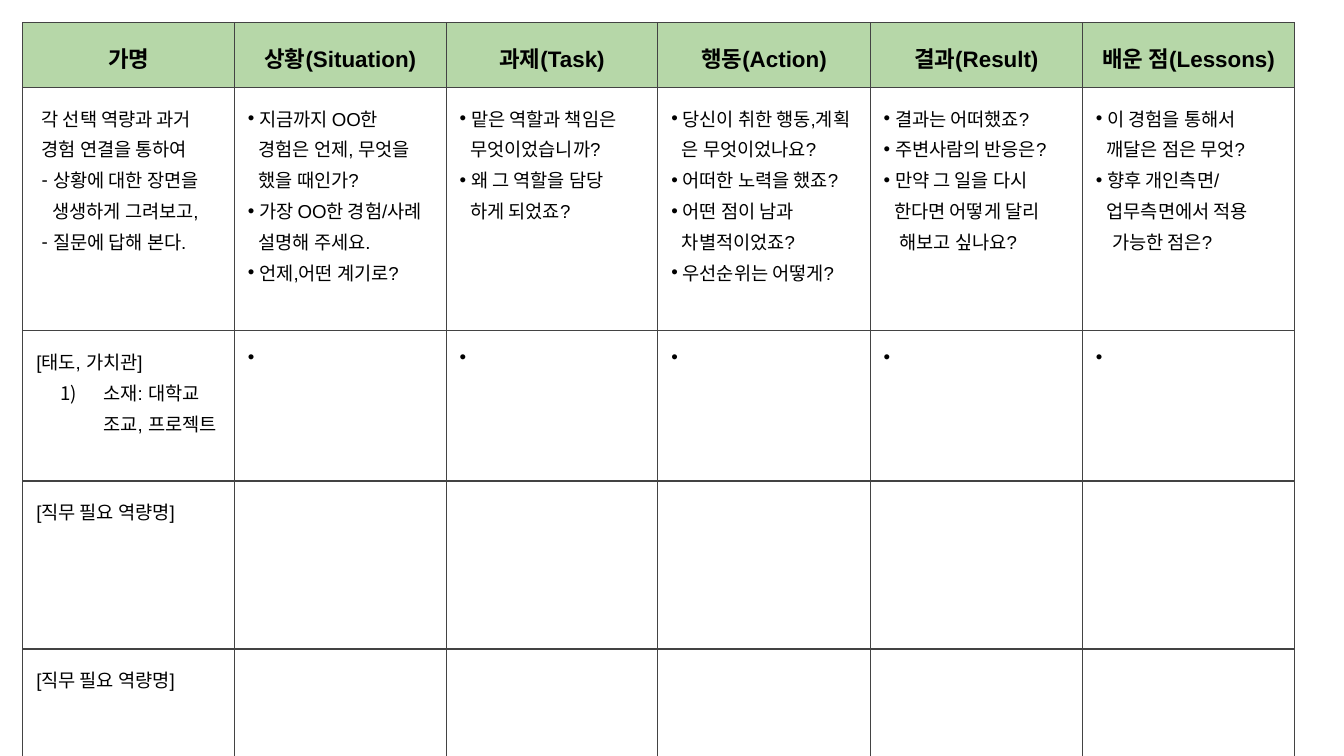
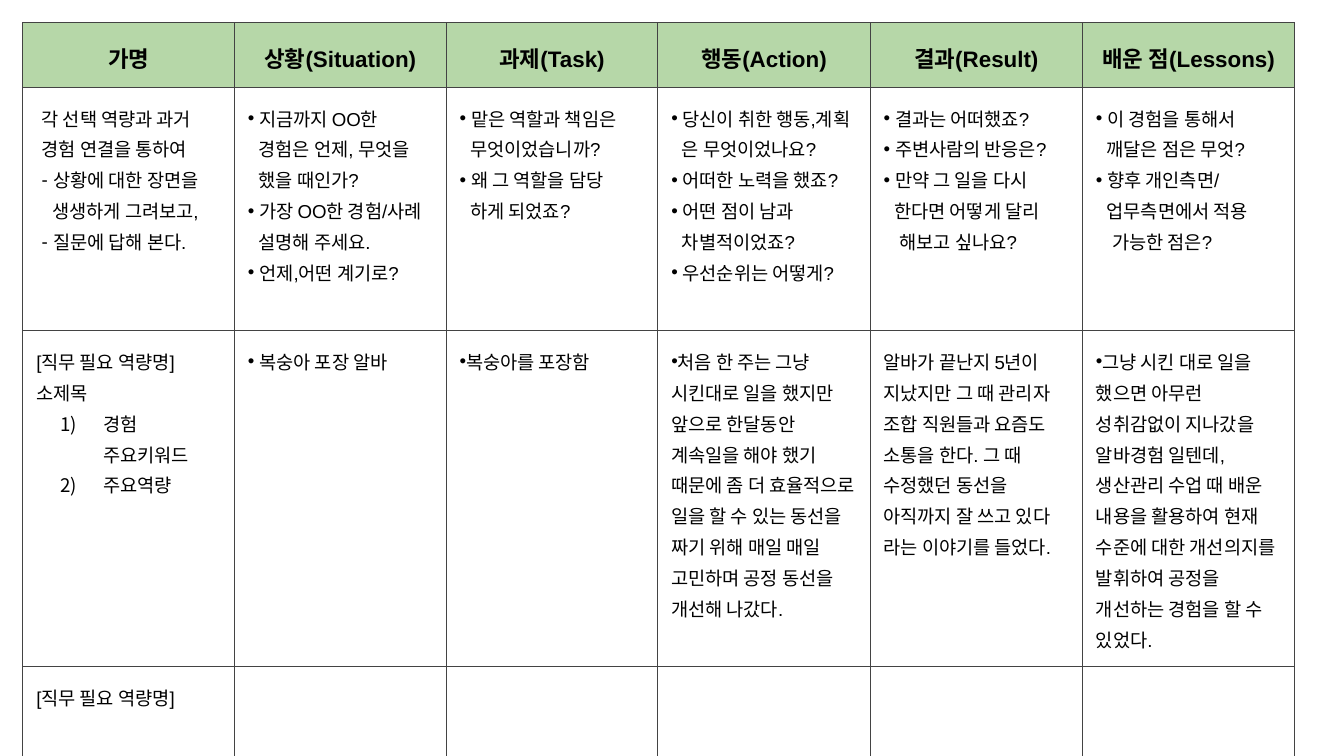
from dataclasses import dataclass
from itertools import zip_longest

from lxml import etree
from pptx import Presentation
from pptx import util as u
from pptx.dml.color import RGBColor
from pptx.enum import text
from pptx.oxml.ns import qn

PX = 4572
COLORS = {"header": "B6D7A8", "border": "434343", "text": "000000"}
FONT = "Arial"
SLIDE_SIZE = (2000, 1125)
TABLE_ORIGIN = 34
COLUMN_WIDTHS = [315] * 3 + [316] * 3
ROW_HEIGHTS = [68, 264, 214, 250, 192]
CELL_MARGIN = 20
SPACE = 8
BULLET_GAP = 17


def px(length: int) -> int:
    return u.Emu(length * PX)


@dataclass(frozen=True)
class Line:
    words: str
    left: int = 0
    hanging: int = 0
    bullet: str = ""
    numbered: bool = False


@dataclass(frozen=True)
class CellStyle:
    size: int
    bold: bool
    align: text.PP_ALIGN
    fill: str | None = None


HEADER = CellStyle(12, True, text.PP_ALIGN.CENTER, COLORS["header"])
BODY = CellStyle(10, False, text.PP_ALIGN.LEFT)


def item(words: str) -> Line:
    return Line(words, BULLET_GAP, BULLET_GAP, "•")


def tight(words: str) -> Line:
    return Line(words, bullet="•")


def dash(words: str) -> Line:
    return Line(words, SPACE + BULLET_GAP, BULLET_GAP, "-")


def more(words: str, spaces: int = 2) -> Line:
    return Line(words, spaces * SPACE)


def number(words: str) -> Line:
    return Line(words, 100, 64, numbered=True)


Cell = list[Line]
Row = list[Cell]

TITLES: Row = [[Line(title)] for title in (
    "가명", "상황(Situation)", "과제(Task)", "행동(Action)", "결과(Result)", "배운 점(Lessons)")]

QUESTIONS: Row = [
    [more("각 선택 역량과 과거", 1), more("경험 연결을 통하여", 1),
     dash("상황에 대한 장면을"), more("생생하게 그려보고,", 3), dash("질문에 답해 본다.")],
    [item("지금까지 OO한"), more("경험은 언제, 무엇을"), more("했을 때인가?"),
     item("가장 OO한 경험/사례"), more("설명해 주세요."), item("언제,어떤 계기로?")],
    [item("맡은 역할과 책임은"), more("무엇이었습니까?"),
     item("왜 그 역할을 담당"), more("하게 되었죠?")],
    [item("당신이 취한 행동,계획"), more("은 무엇이었나요?"), item("어떠한 노력을 했죠?"),
     item("어떤 점이 남과"), more("차별적이었죠?"), item("우선순위는 어떻게?")],
    [item("결과는 어떠했죠?"), item("주변사람의 반응은?"), item("만약 그 일을 다시"),
     more("한다면 어떻게 달리"), more("해보고 싶나요?", 3)],
    [item("이 경험을 통해서"), more("깨달은 점은 무엇?"), item("향후 개인측면/"),
     more("업무측면에서 적용"), more("가능한 점은?", 3)],
]

COMPETENCY = Line("[직무 필요 역량명]")

ATTITUDE: Row = [
    [Line("[태도, 가치관]"), number("소재: 대학교 조교, 프로젝트")],
    *[[Line("•")] for _ in COLUMN_WIDTHS[1:]],
]

PEACH_JOB: Row = [
    [COMPETENCY, Line("소제목"), number("경험 주요키워드"), number("주요역량")],
    [item("복숭아 포장 알바")],
    [tight("복숭아를 포장함")],
    [tight("처음 한 주는 그냥 시킨대로 일을 했지만 앞으로 한달동안 계속일을 해야 했기 때문에 "
           "좀 더 효율적으로 일을 할 수 있는 동선을 짜기 위해 매일 매일 고민하며 "
           "공정 동선을 개선해 나갔다.")],
    [Line("알바가 끝난지 5년이 지났지만 그 때 관리자 조합 직원들과 요즘도 소통을 한다. "
          "그 때 수정했던 동선을 아직까지 잘 쓰고 있다 라는 이야기를 들었다.")],
    [tight("그냥 시킨 대로 일을 했으면 아무런 성취감없이 지나갔을 알바경험 일텐데, "
           "생산관리 수업 때 배운 내용을 활용하여 현재 수준에 대한 개선의지를 발휘하여 "
           "공정을 개선하는 경험을 할 수 있었다.")],
]


def add_bullet(properties, line: Line) -> None:
    properties.set("marL", str(px(line.left)))
    properties.set("indent", str(px(-line.hanging)))
    if not (line.bullet or line.numbered):
        etree.SubElement(properties, qn("a:buNone"))
        return
    color = etree.SubElement(properties, qn("a:buClr"))
    etree.SubElement(color, qn("a:srgbClr"), val=COLORS["text"])
    if line.numbered:
        etree.SubElement(properties, qn("a:buAutoNum"), type="arabicParenR")
    else:
        etree.SubElement(properties, qn("a:buFont"), typeface=FONT)
        etree.SubElement(properties, qn("a:buChar"), char=line.bullet)


def write_line(paragraph, line: Line, style: CellStyle) -> None:
    paragraph.alignment = style.align
    paragraph.line_spacing = 1.15
    add_bullet(paragraph._p.get_or_add_pPr(), line)
    run = paragraph.add_run()
    run.text = line.words
    run.font.name = FONT
    run.font.size = u.Pt(style.size)
    run.font.bold = style.bold
    run.font.color.rgb = RGBColor.from_string(COLORS["text"])


def add_borders(cell) -> None:
    properties = cell._tc.get_or_add_tcPr()
    for position, side in enumerate(("lnL", "lnR", "lnT", "lnB")):
        border = etree.Element(qn(f"a:{side}"), w=str(u.Pt(0.75)))
        fill = etree.SubElement(border, qn("a:solidFill"))
        etree.SubElement(fill, qn("a:srgbClr"), val=COLORS["border"])
        properties.insert(position, border)


def write_cell(cell, lines: Cell, style: CellStyle) -> None:
    cell.margin_left = cell.margin_right = px(CELL_MARGIN)
    cell.margin_top = cell.margin_bottom = px(CELL_MARGIN)
    if style.fill:
        cell.fill.solid()
        cell.fill.fore_color.rgb = RGBColor.from_string(style.fill)
    else:
        cell.fill.background()
    add_borders(cell)
    frame = cell.text_frame
    for index, line in enumerate(lines):
        paragraph = frame.add_paragraph() if index else frame.paragraphs[0]
        write_line(paragraph, line, style)


def add_star_slide(presentation, experience: Row) -> None:
    slide = presentation.slides.add_slide(presentation.slide_layouts[6])
    shape = slide.shapes.add_table(
        len(ROW_HEIGHTS), len(COLUMN_WIDTHS), px(TABLE_ORIGIN), px(TABLE_ORIGIN),
        px(sum(COLUMN_WIDTHS)), px(sum(ROW_HEIGHTS)))
    table = shape.table
    table.first_row = table.horz_banding = False
    for column, width in zip(table.columns, COLUMN_WIDTHS):
        column.width = px(width)
    rows = [TITLES, QUESTIONS, experience, [[COMPETENCY]], [[COMPETENCY]]]
    for index, (row, height, content) in enumerate(zip(table.rows, ROW_HEIGHTS, rows)):
        row.height = px(height)
        style = BODY if index else HEADER
        for cell, lines in zip_longest(row.cells, content, fillvalue=[]):
            write_cell(cell, lines, style)


def main() -> None:
    presentation = Presentation()
    presentation.slide_width, presentation.slide_height = map(px, SLIDE_SIZE)
    for experience in (ATTITUDE, PEACH_JOB):
        add_star_slide(presentation, experience)
    presentation.save("out.pptx")


if __name__ == "__main__":
    main()
